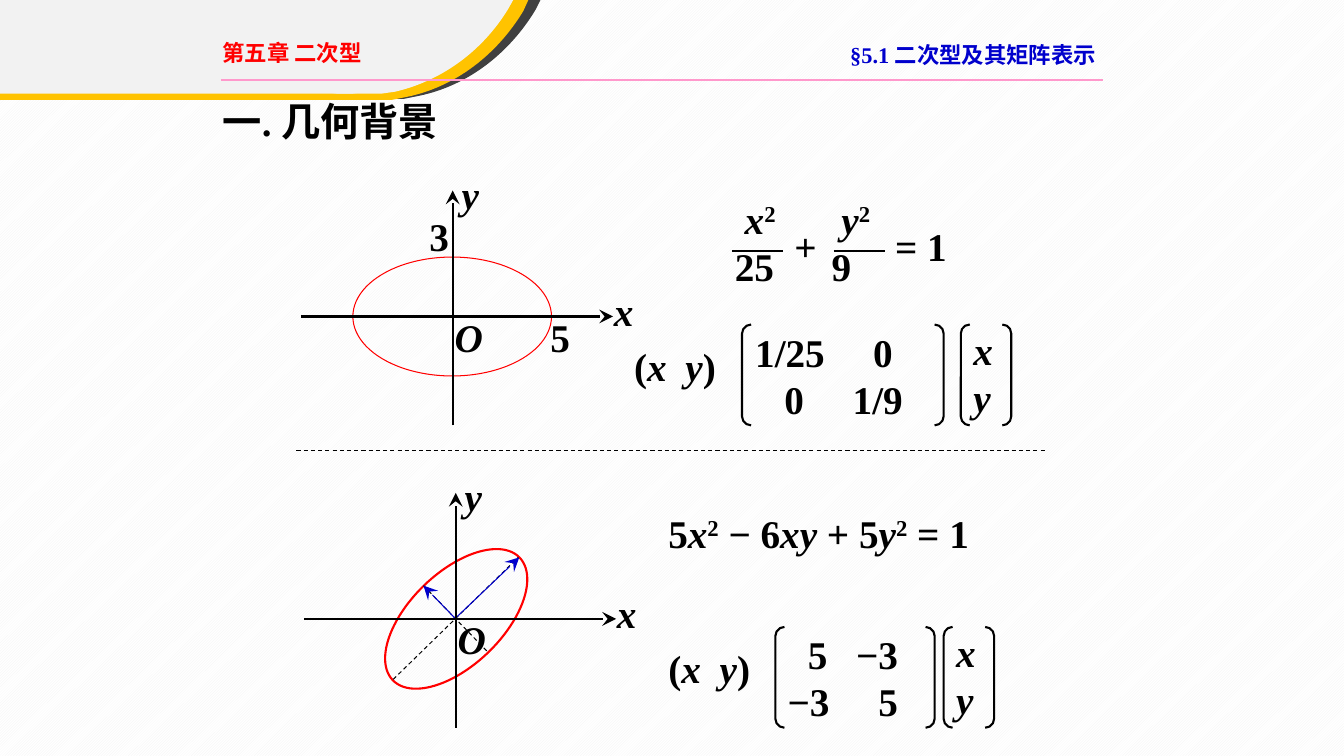
"""Builds the slide on the geometric background of quadratic forms."""
import pptx
import pptx.dml.color
import pptx.enum.dml
import pptx.enum.shapes
import pptx.enum.text
import pptx.oxml.ns
import pptx.util
from lxml import etree

PX = 9144
SIZE = (1333, 750)
LATIN, CJK = "Times New Roman", "Noto Sans CJK SC"
BLACK, RED, BLUE, PINK = "000000", "FF0000", "0000CC", "FF99CC"
DARK, GOLD, PALE = "404040", "FFC300", "F2F2F2"

HEADING = ("一. 几何背景", (211, 92, 277, 63))
HEADERS = [
    ("§5.1 二次型及其矩阵表示", (821, 36, 276, 37), BLUE, LATIN, "RIGHT"),
    ("第五章 二次型", (211, 34, 176, 37), RED, CJK, "LEFT"),
]

BOWL = [(215, 0), (536, 0), (531, 10), ((505, 53), (464, 85), (416, 95)), (401, 98),
        (357, 98), (342, 95), ((294, 85), (249, 56), (223, 12))]
BAND = [(12, 4), (219, 4), (225, 13), ((255, 55), (303, 85), (359, 96)), (376, 98), (12, 98)]
PALE_BOWL = [(197, 0), (509, 0), (504, 9), ((479, 50), (439, 80), (392, 91)), (378, 93),
             (335, 93), (320, 91), ((274, 80), (230, 53), (204, 11))]
PALE_BAND = [(0, 0), (200, 0), (206, 9), ((236, 50), (282, 80), (337, 91)), (354, 93), (0, 93)]
CORNER = [(BOWL, DARK, 0, 0), (BAND, DARK, 0, 0), (BOWL, GOLD, -12, 1),
          (BAND, GOLD, -12, 1), (PALE_BOWL, PALE, 0, 0), (PALE_BAND, PALE, 0, 0)]

ELLIPSES = [((350, 255, 197, 118), 0, 0.75), ((365, 568, 175, 92), 315.9, 1.5)]
AXES = [((299, 314), (608, 314)), ((449, 422), (449, 189))]
AXIS_LABELS = [("O", (441, 306, 63, 63)), ("x", (599, 280, 53, 63)), ("y", (448, 164, 51, 63))]
AXES_SHIFTS = [(0, 0), (3, 300)]

LINES = [
    ((219, 79), (1094, 79), PINK, 1.5, False, False),
    ((294, 447), (1036, 447), BLACK, 0.75, True, False),
    ((390, 674), (514, 553), BLACK, 0.75, True, False),
    ((420, 581), (484, 647), BLACK, 0.75, True, False),
    ((451, 614), (515, 553), BLUE, 0.75, False, True),
    ((452, 614), (420, 581), BLUE, 0.75, False, True),
    ((726, 249), (777, 249), BLACK, 1.5, False, False),
    ((827, 249), (878, 249), BLACK, 1.5, False, False),
]

ROW_VECTOR = [[("(", ""), ("x\ty", "i"), (")", "")]]
FORMULAS = [
    ([[(" x", "i"), ("2", "^")], [("25", "")]], (719, 189, 79, 117)),
    ([[("+", "")]], (778, 216, 57, 63)),
    ([[(" y", "i"), ("2", "^")], [("9", "")]], (815, 189, 77, 117)),
    ([[("= 1", "")]], (878, 216, 90, 63)),
    ([[("3", "")]], (416, 206, 53, 63)),
    ([[("5", "")]], (536, 306, 42, 63)),
    (ROW_VECTOR, (619, 335, 113, 57)),
    (ROW_VECTOR, (653, 634, 113, 57)),
    ([[("5", ""), ("x", "i"), ("2", "^"), (" − 6", ""), ("xy", "i"), (" + 5", ""),
       ("y", "i"), ("2", "^"), (" = 1", "")]], (653, 500, 375, 63)),
]
ROW_VECTOR_STOPS = [[("l", 51)]]

BRACKETS = [
    (["\t1/25\t0", "\t0\t1/9"], "", (736, 322, 200, 100), 0.09,
     [[("ctr", 45), ("ctr", 137)], [("ctr", 49), ("ctr", 132)]]),
    (["\t5\t−3", "\t−3\t5"], "", (769, 622, 158, 100), 0.09,
     [[("r", 49), ("r", 119)], [("r", 51), ("r", 119)]]),
    (["x", "y"], "i", (953, 322, 50, 100), 0.177, []),
    (["x", "y"], "i", (936, 622, 50, 100), 0.177, []),
]
MATRIX_INSETS = {"margin_left": 0, "margin_right": 0}
VECTOR_INSETS = {"margin_left": 10 * PX, "margin_right": 0,
                 "margin_top": PX, "margin_bottom": 5 * PX}

SHAPES = pptx.enum.shapes.MSO_SHAPE
ALIGN = pptx.enum.text.PP_ALIGN
ANCHOR = pptx.enum.text.MSO_ANCHOR
qn = pptx.oxml.ns.qn


def rgb(value):
    return pptx.dml.color.RGBColor.from_string(value)


def emu(lengths):
    return [round(length * PX) for length in lengths]


def assign(target, values):
    for key, value in values.items():
        setattr(target, key, value)


def write(frame, rows, size=28, color=BLACK, font=LATIN, align="LEFT", stops=(), **layout):
    assign(frame, {"word_wrap": True, "auto_size": pptx.enum.text.MSO_AUTO_SIZE.NONE,
                   "vertical_anchor": ANCHOR.TOP, **layout})
    for index, row in enumerate(rows):
        paragraph = frame.add_paragraph() if index else frame.paragraphs[0]
        paragraph.alignment = ALIGN[align]
        if stops:
            tabs = etree.SubElement(paragraph._p.get_or_add_pPr(), qn("a:tabLst"))
            for kind, place in stops[index]:
                etree.SubElement(tabs, qn("a:tab"), pos=str(place * PX), algn=kind)
        for text, style in row:
            run = paragraph.add_run()
            run.text = text
            assign(run.font, {"size": pptx.util.Pt(size), "name": font, "bold": True,
                              "italic": style == "i"})
            run.font.color.rgb = rgb(color)
            properties = run._r.get_or_add_rPr()
            etree.SubElement(properties, qn("a:ea"), typeface=CJK)
            if style == "^":
                properties.set("baseline", "30000")


def add_text(slide, rows, box, **options):
    write(slide.shapes.add_textbox(*emu(box)).text_frame, rows, **options)


def add_outline(slide, kind, box, color, width):
    shape = slide.shapes.add_shape(kind, *emu(box))
    shape.shadow.inherit = False
    shape.fill.background()
    shape.line.color.rgb = rgb(color)
    shape.line.width = pptx.util.Pt(width)
    return shape


def add_line(slide, start, end, color, width, dashed, arrow):
    connector = slide.shapes.add_connector(
        pptx.enum.shapes.MSO_CONNECTOR.STRAIGHT, *emu(start + end))
    connector.line.color.rgb = rgb(color)
    connector.line.width = pptx.util.Pt(width)
    if dashed:
        connector.line.dash_style = pptx.enum.dml.MSO_LINE.DASH
    if arrow:
        etree.SubElement(connector.line._get_or_add_ln(), qn("a:tailEnd"),
                         type="stealth", w="lg", len="lg")
    etree.SubElement(connector._element.spPr, qn("a:effectLst"))


def add_corner(slide, outline, color, dx, dy):
    nodes = [node if len(node) == 3 else (node,) for node in outline]
    places = [emu((x + dx, y + dy if y else 0)) for node in nodes for x, y in node]
    builder = slide.shapes.build_freeform(*places[0])
    builder.add_line_segments(places[1:], close=True)
    shape = builder.convert_to_shape()
    segments = iter(list(shape._element.iter(qn("a:moveTo"), qn("a:lnTo"))))
    for node in nodes:
        first, *others = [next(segments) for _ in node]
        if others:
            first.tag = qn("a:cubicBezTo")
            for segment in others:
                first.append(segment[0])
                segment.getparent().remove(segment)
    shape.shadow.inherit = False
    shape.fill.solid()
    shape.fill.fore_color.rgb = rgb(color)
    shape.line.fill.background()


def add_backdrop(slide):
    backdrop = slide.shapes.add_shape(SHAPES.RECTANGLE, 0, 0, *emu(SIZE))
    backdrop.shadow.inherit = False
    backdrop.line.fill.background()
    backdrop.fill.patterned()
    backdrop.fill.pattern = pptx.enum.dml.MSO_PATTERN.LIGHT_UPWARD_DIAGONAL
    backdrop.fill.fore_color.rgb = rgb(PALE)
    backdrop.fill.back_color.rgb = rgb("FFFFFF")


def main():
    deck = pptx.Presentation()
    deck.slide_width, deck.slide_height = emu(SIZE)
    slide = deck.slides.add_slide(deck.slide_layouts[5])
    heading = slide.shapes.title
    add_backdrop(slide)
    for part in CORNER:
        add_corner(slide, *part)
    for box, angle, width in ELLIPSES:
        add_outline(slide, SHAPES.OVAL, box, RED, width).rotation = angle
    for line in LINES:
        add_line(slide, *line)
    for dx, dy in AXES_SHIFTS:
        for axis in AXES:
            start, end = [(x + dx, y + dy) for x, y in axis]
            add_line(slide, start, end, BLACK, 1.5, False, True)
        for label, (x, y, w, h) in AXIS_LABELS:
            add_text(slide, [[(label, "i")]], (x + dx, y + dy, w, h))
    for text, box, color, font, align in HEADERS:
        add_text(slide, [[(text, "")]], box, size=16, color=color, font=font, align=align)
    for rows, box in FORMULAS:
        add_text(slide, rows, box, stops=ROW_VECTOR_STOPS if rows is ROW_VECTOR else ())
    for rows, style, box, curvature, stops in BRACKETS:
        bracket = add_outline(slide, SHAPES.DOUBLE_BRACKET, box, BLACK, 1.5)
        bracket.adjustments[0] = curvature
        write(bracket.text_frame, [[(row, style)] for row in rows], stops=stops,
              vertical_anchor=ANCHOR.MIDDLE, **(MATRIX_INSETS if stops else VECTOR_INSETS))
    text, box = HEADING
    assign(heading, dict(zip(("left", "top", "width", "height"), emu(box))))
    write(heading.text_frame, [[(text, "")]])
    slide.shapes._spTree.append(heading._element)
    deck.save("out.pptx")


if __name__ == "__main__":
    main()
